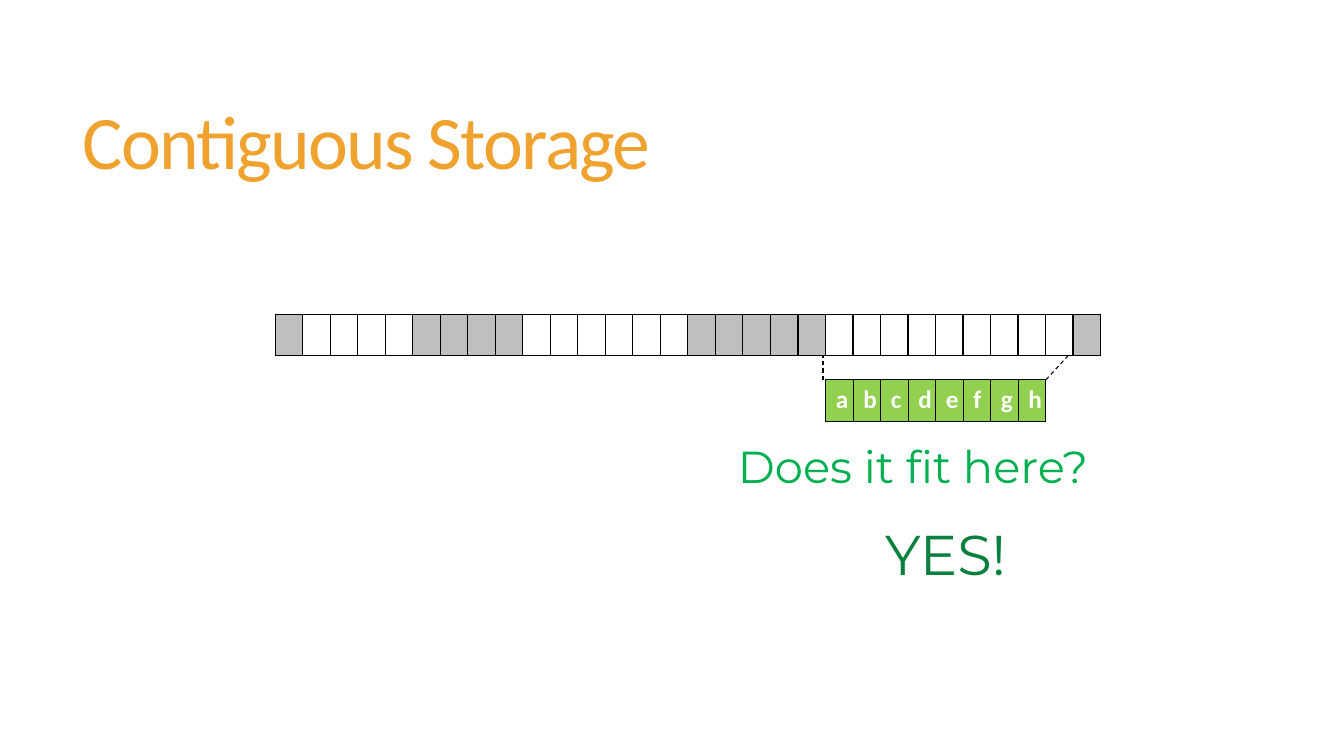
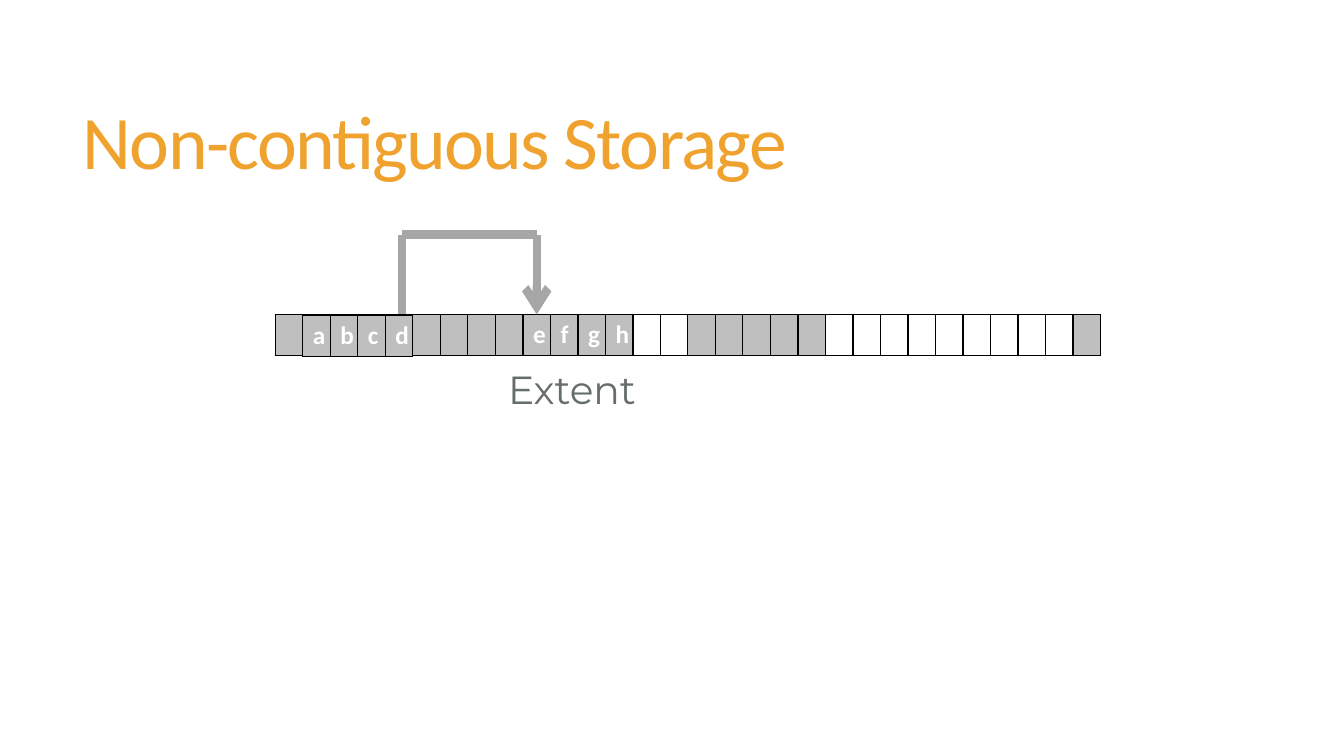
from dataclasses import dataclass
from typing import Any

from lxml.etree import SubElement
from pptx import Presentation
from pptx.dml.color import RGBColor
from pptx.enum.dml import MSO_LINE
from pptx.enum.shapes import MSO_CONNECTOR
from pptx.enum.text import MSO_ANCHOR, MSO_AUTO_SIZE, PP_ALIGN
from pptx.oxml import parse_xml
from pptx.oxml.ns import nsdecls, qn
from pptx.util import Inches, Pt


@dataclass(frozen=True)
class Theme:
    title: str = "F0A22E"
    used: str = "BFBFBF"
    free: str = "FFFFFF"
    file: str = "92D050"
    ask: str = "00B050"
    answer: str = "09803E"
    note: str = "666E69"
    link: str = "A6A6A6"
    edge: str = "000000"
    head: str = "Calibri"
    body: str = "Montserrat"
    title_size: int = 54
    cell_size: int = 18


@dataclass(frozen=True)
class Strip:
    """A run of blocks, one letter each, from a grid column and row."""
    col: float
    row: float
    text: str
    fill: str


@dataclass(frozen=True)
class Line:
    start: tuple[float, float]
    end: tuple[float, float]
    color: str
    width: float
    dash: bool = False
    arrow: bool = False


@dataclass(frozen=True)
class Label:
    text: str
    col: float
    row: float
    cols: float
    rows: float
    size: int
    color: str


@dataclass(frozen=True)
class Page:
    title: str
    strips: tuple[Strip, ...]
    lines: tuple[Line, ...]
    labels: tuple[Label, ...]


THEME = Theme()
WIDTH, HEIGHT = 13.33, 7.5
COUNT = 30
LEFT, TOP = 2.73, 3.12
COL, ROW = 8.19 / COUNT, 0.41
USED = {0, *range(5, 9), *range(15, 20), COUNT - 1}
LIFT = -1.93  # height of the link above the disk, in rows
FROM, TO = 4.6, 9.5  # columns that the link joins

PAGES = (
    Page(
        "Contiguous Storage",
        (Strip(20, 1.58, "abcdefgh", THEME.file),),
        (
            Line((19.9, 1.58), (19.9, 1), THEME.edge, 0.75, dash=True),
            Line((28, 1.58), (28.8, 1), THEME.edge, 0.75, dash=True),
        ),
        (
            Label("Does it fit here?", 16.45, 2.88, 16.1, 1.56, 32, THEME.ask),
            Label("YES!", 21.8, 4.83, 6.9, 1.88, 40, THEME.answer),
        ),
    ),
    Page(
        "Non-contiguous Storage",
        (Strip(1, 0.02, "abcd", THEME.used), Strip(9, 0, "efgh", THEME.used)),
        (
            Line((FROM, 0), (FROM, LIFT), THEME.link, 6),
            Line((TO, LIFT), (FROM, LIFT), THEME.link, 6),
            Line((TO, LIFT), (TO, 0), THEME.link, 6, arrow=True),
        ),
        (Label("Extent", 8.1, 1.1, 6.9, 1.4, 28, THEME.note),),
    ),
)


def spot(col: float, row: float) -> tuple[int, int]:
    """Turn a grid position into a place on the slide."""
    return Inches(LEFT + col * COL), Inches(TOP + row * ROW)


def apply(target: Any, **values: Any) -> None:
    for name, value in values.items():
        setattr(target, name, value)


def style(font: Any, face: str, size: int, color: str, bold: bool = False) -> None:
    apply(font, name=face, size=Pt(size), bold=bold)
    font.color.rgb = RGBColor.from_string(color)


def add_title(slide: Any, text: str) -> None:
    title = slide.shapes.title
    apply(title, left=Inches(0.054 * WIDTH), top=Inches(0.073 * HEIGHT),
          width=Inches(0.884 * WIDTH), height=Inches(0.241 * HEIGHT))
    frame = title.text_frame
    apply(frame, text=text, vertical_anchor=MSO_ANCHOR.MIDDLE, word_wrap=True)
    para = frame.paragraphs[0]
    apply(para, alignment=PP_ALIGN.LEFT, line_spacing=0.85)
    font = para.runs[0].font
    style(font, THEME.head, THEME.title_size, THEME.title)
    para.runs[0]._r.get_or_add_rPr().set("spc", "-120")


def add_edges(cell: Any) -> None:
    props = cell._tc.get_or_add_tcPr()
    for place, side in enumerate("LRTB"):
        props.insert(place, parse_xml(
            f'<a:ln{side} {nsdecls("a")} w="{Pt(1)}"><a:solidFill>'
            f'<a:srgbClr val="{THEME.edge}"/></a:solidFill></a:ln{side}>'))


def add_cells(slide: Any, col: float, row: float, fills: list[str], text: str = "") -> None:
    """Draw a one-row table with a fill, and maybe a letter, per block."""
    count = len(fills)
    table = slide.shapes.add_table(
        1, count, *spot(col, row), Inches(count * COL), Inches(ROW)).table
    apply(table, first_row=False, horz_banding=False)
    for item in table.columns:
        item.width = Inches(COL)
    for place, fill in enumerate(fills):
        cell = table.cell(0, place)
        cell.fill.solid()
        cell.fill.fore_color.rgb = RGBColor.from_string(fill)
        add_edges(cell)
        if text:
            para = cell.text_frame.paragraphs[0]
            para.alignment = PP_ALIGN.CENTER
            run = para.add_run()
            run.text = text[place]
            style(run.font, THEME.head, THEME.cell_size, THEME.free, bold=True)


def add_line(slide: Any, line: Line) -> None:
    shape = slide.shapes.add_connector(
        MSO_CONNECTOR.STRAIGHT, *spot(*line.start), *spot(*line.end))
    shape.line.width = Pt(line.width)
    shape.line.color.rgb = RGBColor.from_string(line.color)
    if line.dash:
        shape.line.dash_style = MSO_LINE.DASH
    if line.arrow:
        SubElement(shape.line._get_or_add_ln(), qn("a:tailEnd"), type="arrow")
    SubElement(shape._element.spPr, qn("a:effectLst"))


def add_label(slide: Any, label: Label) -> None:
    box = slide.shapes.add_textbox(
        *spot(label.col, label.row), Inches(label.cols * COL), Inches(label.rows * ROW))
    frame = box.text_frame
    apply(frame, text=label.text, word_wrap=True,
          auto_size=MSO_AUTO_SIZE.SHAPE_TO_FIT_TEXT)
    style(frame.paragraphs[0].runs[0].font, THEME.body, label.size, label.color)


def add_page(deck: Any, page: Page) -> None:
    slide = deck.slides.add_slide(deck.slide_layouts.get_by_name("Title Only"))
    add_title(slide, page.title)
    disk = [THEME.used if n in USED else THEME.free for n in range(COUNT)]
    add_cells(slide, 0, 0, disk)
    for strip in page.strips:
        add_cells(slide, strip.col, strip.row, [strip.fill] * len(strip.text), strip.text)
    for line in page.lines:
        add_line(slide, line)
    for label in page.labels:
        add_label(slide, label)


def main() -> None:
    deck = Presentation()
    apply(deck, slide_width=Inches(WIDTH), slide_height=Inches(HEIGHT))
    for page in PAGES:
        add_page(deck, page)
    deck.save("out.pptx")


if __name__ == "__main__":
    main()
